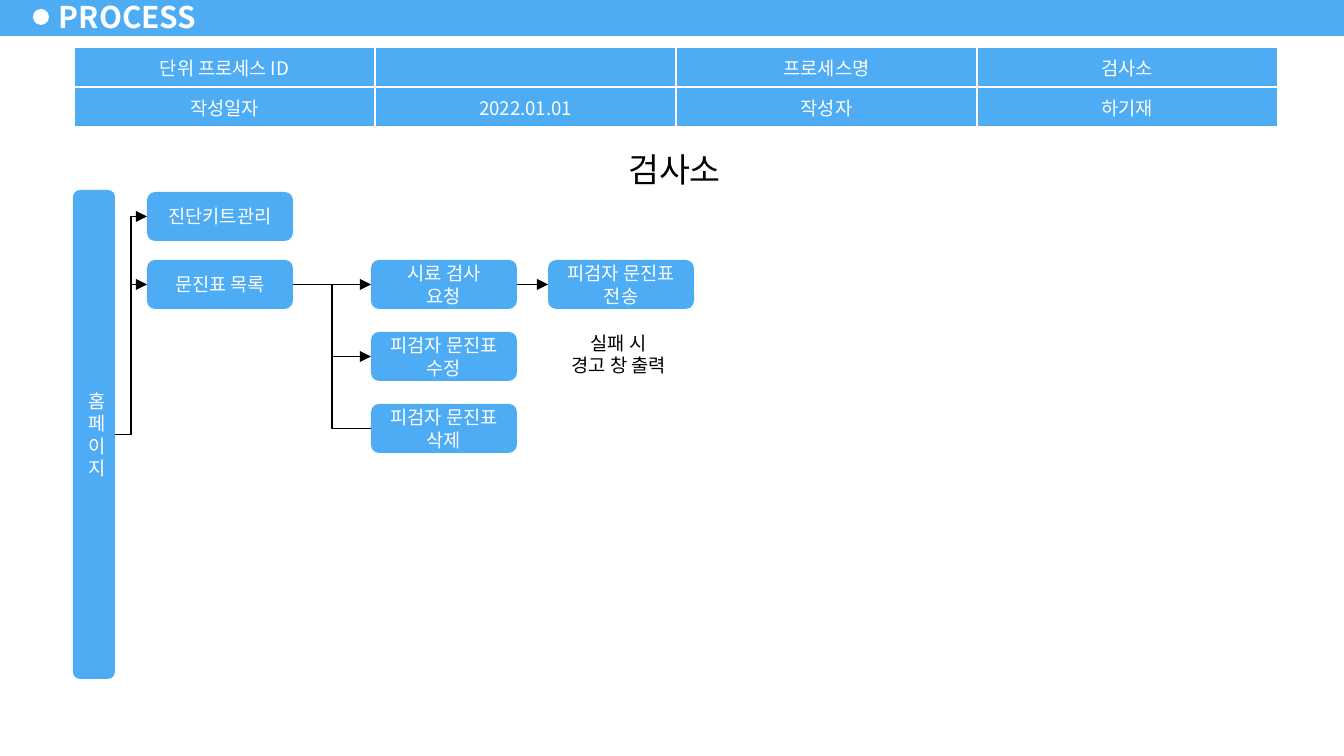
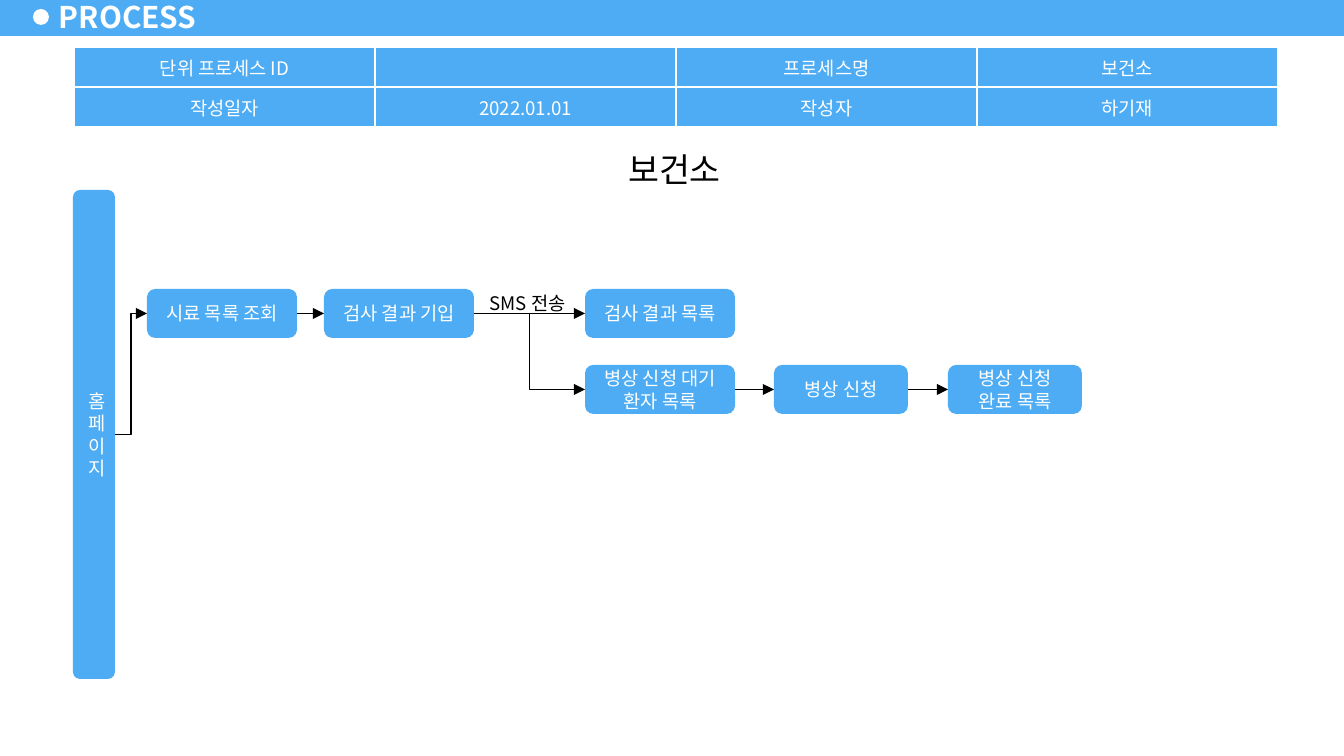
from lxml import etree
from pptx import Presentation, util as u
from pptx.dml.color import RGBColor
from pptx.enum import shapes, text
from pptx.oxml.ns import qn

SLIDE_WIDTH, SLIDE_HEIGHT = 1344, 756
EMU_PER_PX = u.Inches(10) / SLIDE_WIDTH
FONT = "Noto Sans CJK KR"
COLORS = {"blue": "4DACF3", "white": "FFFFFF", "black": "000000"}
LEFT, RIGHT = 1, 3
NODE_HEIGHT = 49
COLUMN_WIDTH, ROW_HEIGHT = 301, 40


def px(*lengths):
    return [u.Emu(round(length * EMU_PER_PX)) for length in lengths]


def rgb(color):
    return RGBColor.from_string(COLORS[color])


def write(frame, content, size, color, align=text.PP_ALIGN.CENTER, bold=False):
    frame.text = content
    for paragraph in frame.paragraphs:
        paragraph.alignment = align
        font = paragraph.font
        font.name, font.size, font.bold = FONT, u.Pt(size), bold
        font.color.rgb = rgb(color)
        properties = paragraph._p.pPr.find(qn("a:defRPr"))
        properties.find(qn("a:latin")).addnext(
            properties.makeelement(qn("a:ea"), {"typeface": FONT}))


def add_block(slide, kind, box, fill):
    shape = slide.shapes.add_shape(kind, *px(*box))
    shape.shadow.inherit = False
    shape.fill.solid()
    shape.fill.fore_color.rgb = rgb(fill)
    shape.line.fill.background()
    return shape


def add_node(slide, content, left, top, width, height=NODE_HEIGHT):
    node = add_block(slide, shapes.MSO_SHAPE.ROUNDED_RECTANGLE,
                     (left, top, width, height), "blue")
    write(node.text_frame, content, 10, "white")
    return node


def add_label(slide, content, box):
    label = slide.shapes.add_textbox(*px(*box))
    label.text_frame.word_wrap = False
    write(label.text_frame, content, 10, "black")


def add_flow(slide, start, end, arrow=True):
    """Join the right side of start to the left side of end."""
    level = start.top + start.height // 2 == end.top + end.height // 2
    kind = shapes.MSO_CONNECTOR.STRAIGHT if level else shapes.MSO_CONNECTOR.ELBOW
    connector = slide.shapes.add_connector(kind, 0, 0, 0, 0)
    connector.begin_connect(start, RIGHT)
    connector.end_connect(end, LEFT)
    connector.line.color.rgb = rgb("black")
    connector.line.width = u.Pt(0.75)
    properties = connector._element.spPr
    if arrow:
        etree.SubElement(properties.find(qn("a:ln")), qn("a:tailEnd"), type="triangle")
    etree.SubElement(properties, qn("a:effectLst"))


def add_borders(cell):
    properties = cell._tc.get_or_add_tcPr()
    for side in "LRTB":
        line = etree.SubElement(properties, qn(f"a:ln{side}"), w=str(u.Pt(1)))
        fill = etree.SubElement(line, qn("a:solidFill"))
        etree.SubElement(fill, qn("a:srgbClr"), val=COLORS["white"])


def add_info_table(slide, process):
    rows = [["단위 프로세스 ID", "", "프로세스명", process],
            ["작성일자", "2022.01.01", "작성자", "하기재"]]
    box = px(74, 47, COLUMN_WIDTH * 4, ROW_HEIGHT * 2)
    table = slide.shapes.add_table(2, 4, *box).table
    for row, values in enumerate(rows):
        for column, value in enumerate(values):
            cell = table.cell(row, column)
            add_borders(cell)
            cell.fill.solid()
            cell.fill.fore_color.rgb = rgb("blue")
            cell.vertical_anchor = text.MSO_ANCHOR.MIDDLE
            write(cell.text_frame, value, 10, "white")


def add_title(slide):
    frame = slide.shapes.add_textbox(*px(47, -5, 180, 43)).text_frame
    frame.word_wrap = True
    frame.vertical_anchor = text.MSO_ANCHOR.MIDDLE
    frame.margin_left, frame.margin_right = px(12, 12)
    frame.margin_top, frame.margin_bottom = px(5, 5)
    write(frame, "PROCESS", 16, "white", text.PP_ALIGN.LEFT, bold=True)


def add_process_slide(presentation, process):
    """Add a slide with the shared parts; return it with its home page bar."""
    slide = presentation.slides.add_slide(presentation.slide_layouts[6])
    add_block(slide, shapes.MSO_SHAPE.RECTANGLE, (0, -2, SLIDE_WIDTH, 38), "blue")
    add_block(slide, shapes.MSO_SHAPE.OVAL, (33, 9, 16, 16), "white")
    add_title(slide)
    add_info_table(slide, process)
    heading = add_block(slide, shapes.MSO_SHAPE.RECTANGLE, (489, 142, 371, 55), "white")
    heading.text_frame.vertical_anchor = text.MSO_ANCHOR.TOP
    write(heading.text_frame, process, 18, "black")
    return slide, add_node(slide, "홈페이지", 73, 190, 42, 489)


def add_test_center(presentation):
    slide, home = add_process_slide(presentation, "검사소")
    width = 146
    request_top, edit_top, delete_top = range(260, 405, 72)
    kits = add_node(slide, "진단키트관리", 147, 192, width)
    forms = add_node(slide, "문진표 목록", 147, request_top, width)
    request = add_node(slide, "시료 검사\n요청", 371, request_top, width)
    send = add_node(slide, "피검자 문진표 전송", 548, request_top, width)
    edit = add_node(slide, "피검자 문진표 수정", 371, edit_top, width)
    delete = add_node(slide, "피검자 문진표 삭제", 371, delete_top, width)
    add_label(slide, "실패 시\n경고 창 출력", (548, 325, 141, 59))
    for start, end in [(home, kits), (home, forms), (forms, edit),
                       (forms, request), (request, send)]:
        add_flow(slide, start, end)
    add_flow(slide, forms, delete, arrow=False)


def add_health_center(presentation):
    slide, home = add_process_slide(presentation, "보건소")
    result_top, bed_top = 289, 365
    wide, narrow = 150, 134
    samples = add_node(slide, "시료 목록 조회", 147, result_top, wide)
    entry = add_node(slide, "검사 결과 기입", 324, result_top, wide)
    results = add_node(slide, "검사 결과 목록", 585, result_top, wide)
    waiting = add_node(slide, "병상 신청 대기 환자 목록", 585, bed_top, wide)
    bed = add_node(slide, "병상 신청", 774, bed_top, narrow)
    done = add_node(slide, "병상 신청 완료 목록", 948, bed_top, narrow)
    add_label(slide, "SMS 전송", (473, 285, 109, 36))
    for start, end in [(home, samples), (samples, entry), (entry, results),
                       (entry, waiting), (waiting, bed), (bed, done)]:
        add_flow(slide, start, end)


def main():
    presentation = Presentation()
    presentation.slide_width, presentation.slide_height = px(SLIDE_WIDTH, SLIDE_HEIGHT)
    add_test_center(presentation)
    add_health_center(presentation)
    presentation.save("out.pptx")


if __name__ == "__main__":
    main()
